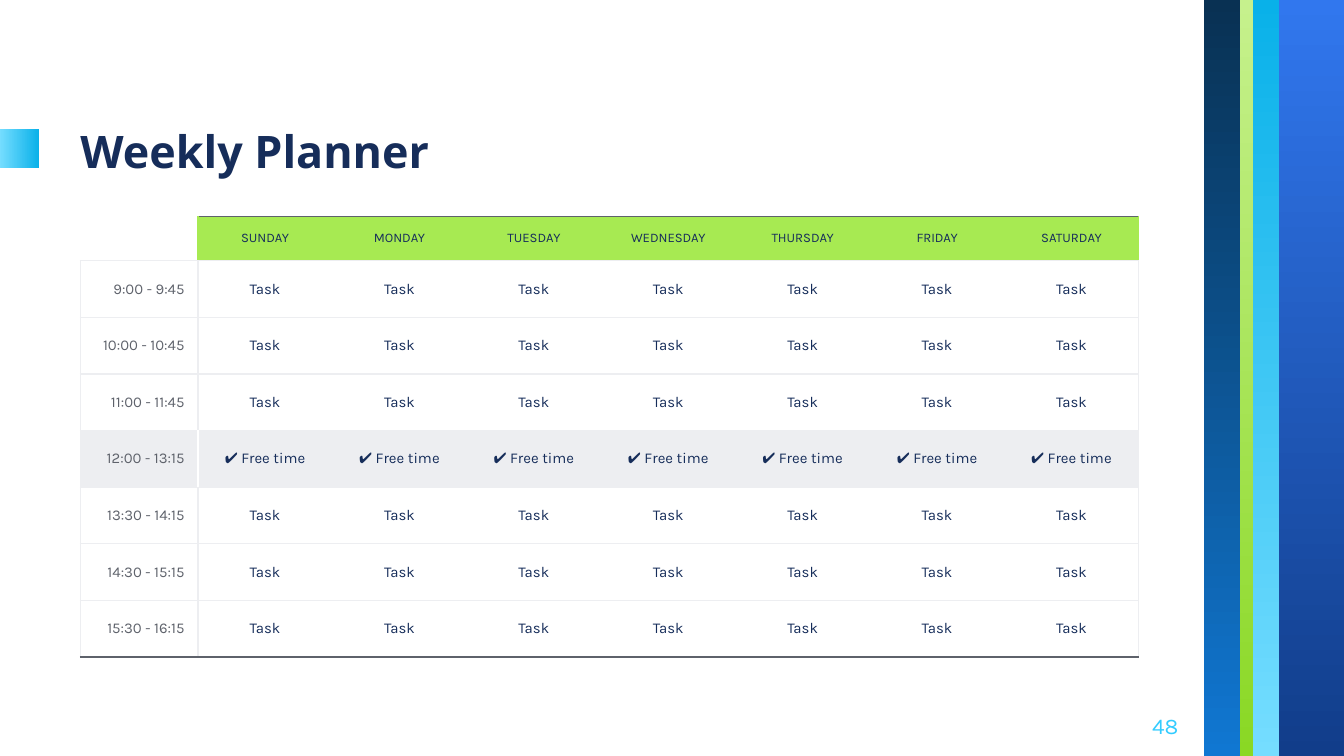
from dataclasses import dataclass
from typing import Optional

from lxml import etree
from pptx import Presentation
from pptx.dml.color import RGBColor
from pptx.enum.shapes import MSO_SHAPE
from pptx.enum.text import MSO_ANCHOR, MSO_AUTO_SIZE, PP_ALIGN
from pptx.oxml.ns import qn
from pptx.util import Cm, Pt

RECTANGLE = MSO_SHAPE.RECTANGLE
MIDDLE, BOTTOM = MSO_ANCHOR.MIDDLE, MSO_ANCHOR.BOTTOM
NO_AUTOFIT = MSO_AUTO_SIZE.NONE
LEFT, CENTER, RIGHT = PP_ALIGN.LEFT, PP_ALIGN.CENTER, PP_ALIGN.RIGHT

NAVY = RGBColor(0x16, 0x2D, 0x5A)
GRAY = RGBColor(0x5E, 0x62, 0x6B)
MIST = RGBColor(0xED, 0xEE, 0xF1)
LIME = RGBColor(0xA7, 0xEA, 0x52)
WHITE = RGBColor(0xFF, 0xFF, 0xFF)
CYAN = RGBColor(0x33, 0xCC, 0xFF)
SKY_LIGHT = RGBColor(0x75, 0xDD, 0xFF)
SKY_DARK = RGBColor(0x09, 0xB1, 0xE9)
ROYAL_LIGHT = RGBColor(0x31, 0x77, 0xEE)
ROYAL_DARK = RGBColor(0x11, 0x3D, 0x8A)
LIME_LIGHT = RGBColor(0xC6, 0xF1, 0x8D)
LIME_DARK = RGBColor(0x8A, 0xD8, 0x24)
DEEP_LIGHT = RGBColor(0x10, 0x77, 0xD2)
DEEP_DARK = RGBColor(0x09, 0x31, 0x53)

BODY_FONT, TITLE_FONT = "Karla", "Noto Sans"
SLIDE_WIDTH, SLIDE_HEIGHT = 25.4, 14.29
INSET = Cm(0.25)
INSETS = dict.fromkeys(
    ("margin_left", "margin_right", "margin_top", "margin_bottom"), INSET
)
DAYS = ["SUNDAY", "MONDAY", "TUESDAY", "WEDNESDAY", "THURSDAY", "FRIDAY", "SATURDAY"]


@dataclass(frozen=True)
class Band:
    left: float
    top: float
    width: float
    height: float
    rotation: int
    start: RGBColor
    end: RGBColor


@dataclass(frozen=True)
class Slot:
    hours: str
    activity: str = "Task"
    fill: Optional[RGBColor] = None
    divider: RGBColor = MIST


BANDS = [
    Band(24.17, 0, 1.23, SLIDE_HEIGHT, 0, ROYAL_LIGHT, ROYAL_DARK),
    Band(23.68, 0, 0.5, SLIDE_HEIGHT, 180, SKY_LIGHT, SKY_DARK),
    Band(23.44, 0, 0.25, SLIDE_HEIGHT, 0, LIME_LIGHT, LIME_DARK),
    Band(22.75, 0, 0.69, SLIDE_HEIGHT, 180, DEEP_LIGHT, DEEP_DARK),
    Band(0, 2.44, 0.74, 0.74, 270, SKY_LIGHT, SKY_DARK),
]
SLOTS = [
    Slot("9:00 - 9:45"),
    Slot("10:00 - 10:45"),
    Slot("11:00 - 11:45"),
    Slot("12:00 - 13:15", "✔ Free time", MIST, WHITE),
    Slot("13:30 - 14:15"),
    Slot("14:30 - 15:15"),
    Slot("15:30 - 16:15"),
]


def apply(target, values: dict) -> None:
    for name, value in values.items():
        setattr(target, name, value)


def draw_band(slide, band: Band) -> None:
    stripe = slide.shapes.add_shape(
        RECTANGLE, Cm(band.left), Cm(band.top), Cm(band.width), Cm(band.height)
    )
    stripe.rotation = band.rotation
    stripe.shadow.inherit = False
    stripe.line.fill.background()
    stripe.fill.gradient()
    stripe.fill.gradient_angle = 270
    for stop, color in zip(stripe.fill.gradient_stops, (band.start, band.end)):
        stop.color.rgb = color


def write(frame, text: str, align, size: float, color: RGBColor,
          font: str = BODY_FONT, bold: bool = False) -> None:
    paragraph = frame.paragraphs[0]
    paragraph.alignment = align
    run = paragraph.add_run()
    run.text = text
    apply(run.font, {"name": font, "size": Pt(size), "bold": bold})
    run.font.color.rgb = color


def draw_borders(cell, borders: dict[str, Optional[RGBColor]]) -> None:
    properties = cell._tc.get_or_add_tcPr()
    for side in "LRTB":
        line = etree.SubElement(properties, qn(f"a:ln{side}"), w=str(Pt(0.75)))
        if borders[side] is None:
            etree.SubElement(line, qn("a:noFill"))
        else:
            fill = etree.SubElement(line, qn("a:solidFill"))
            etree.SubElement(fill, qn("a:srgbClr"), val=str(borders[side]))


def fill_cell(cell, color: Optional[RGBColor]) -> None:
    if color is None:
        cell.fill.background()
    else:
        cell.fill.solid()
        cell.fill.fore_color.rgb = color


def cell_borders(row: int, column: int) -> dict[str, Optional[RGBColor]]:
    header = row == 0
    corner = header and column == 0
    divider = LIME if header else SLOTS[row - 1].divider
    edge = LIME if header else MIST
    top = GRAY if header else MIST
    left = {0: None if header else MIST, 1: divider}
    right = {0: divider, len(DAYS): edge}
    return {
        "L": left.get(column),
        "R": right.get(column),
        "T": None if corner else top,
        "B": GRAY if row == len(SLOTS) else MIST,
    }


def draw_planner(slide) -> None:
    planner = slide.shapes.add_table(
        len(SLOTS) + 1, len(DAYS) + 1, Cm(1.52), Cm(4.09), Cm(20), Cm(8.32)
    ).table
    apply(planner, {"first_row": False, "horz_banding": False})
    for index, column in enumerate(planner.columns):
        column.width = Cm(2.54 if index else 2.22)
    for row_index, row in enumerate(planner.rows):
        row.height = Cm(1.07 if row_index else 0.84)
        slot = SLOTS[row_index - 1] if row_index else None
        for column_index, cell in enumerate(row.cells):
            apply(cell, {**INSETS, "vertical_anchor": MIDDLE})
            draw_borders(cell, cell_borders(row_index, column_index))
            if slot:
                fill_cell(cell, slot.fill)
                if column_index:
                    write(cell.text_frame, slot.activity, CENTER, 8, NAVY)
                else:
                    write(cell.text_frame, slot.hours, RIGHT, 8, GRAY)
            elif column_index:
                fill_cell(cell, LIME)
                write(cell.text_frame, DAYS[column_index - 1], CENTER, 7, NAVY)
            else:
                fill_cell(cell, None)
                corner = cell.text_frame.paragraphs[0]
                etree.SubElement(corner._p, qn("a:endParaRPr"), sz="700")


def main() -> None:
    deck = Presentation()
    apply(deck, {"slide_width": Cm(SLIDE_WIDTH), "slide_height": Cm(SLIDE_HEIGHT)})
    slide = deck.slides.add_slide(deck.slide_layouts[5])
    for band in BANDS:
        draw_band(slide, band)

    heading = slide.shapes.title
    apply(heading, {"left": Cm(1.27), "top": Cm(1.57),
                    "width": Cm(14.73), "height": Cm(2.03)})
    apply(heading.text_frame, {**INSETS, "vertical_anchor": BOTTOM,
                               "word_wrap": True, "auto_size": NO_AUTOFIT})
    write(heading.text_frame, "Weekly Planner", LEFT, 24, NAVY, TITLE_FONT, True)

    page_number = slide.shapes.add_textbox(Cm(21), Cm(13.18), Cm(1.52), Cm(1.09))
    apply(page_number.text_frame, {**INSETS, "vertical_anchor": MIDDLE,
                                   "word_wrap": True})
    write(page_number.text_frame, "48", RIGHT, 12, CYAN)

    draw_planner(slide)
    deck.save("out.pptx")


if __name__ == "__main__":
    main()
